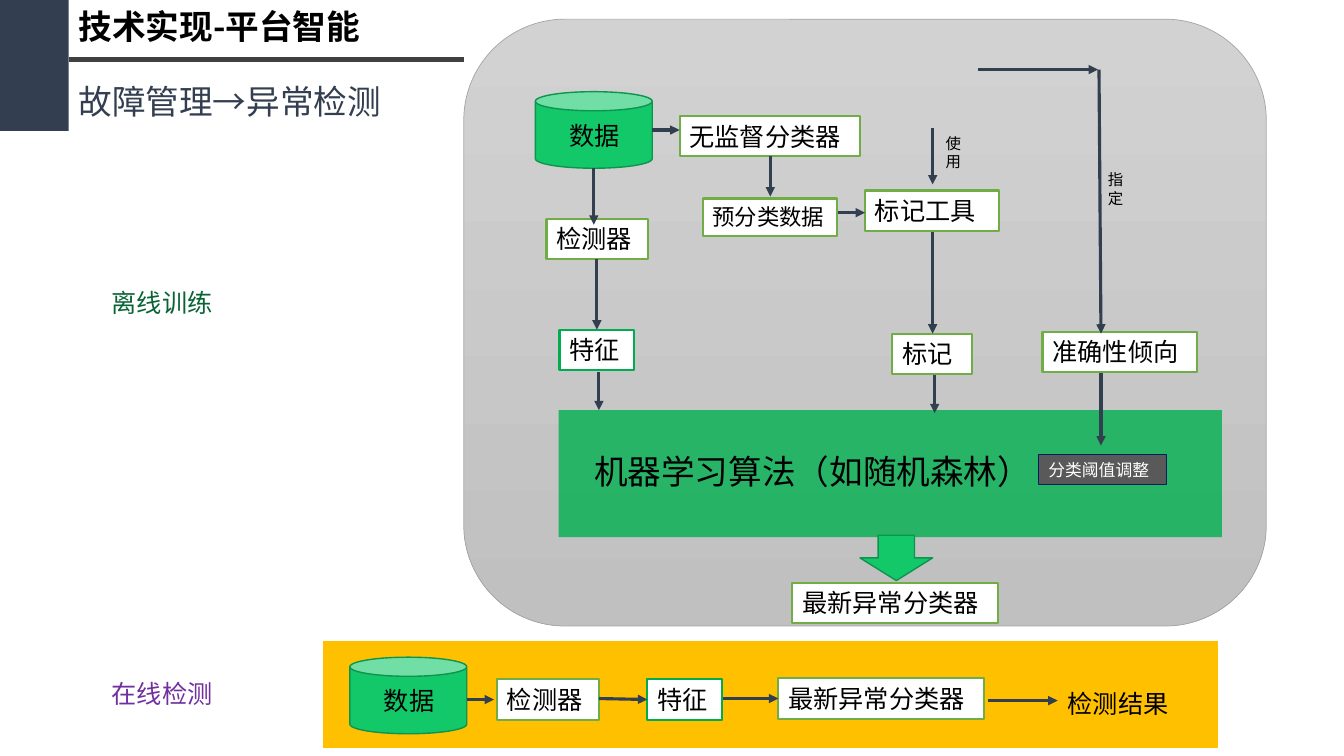
from dataclasses import dataclass

from lxml.etree import SubElement
from pptx import Presentation
from pptx.dml.color import RGBColor
from pptx.enum.shapes import MSO_CONNECTOR as Connector, MSO_SHAPE as Preset
from pptx.enum.text import MSO_ANCHOR as Anchor, MSO_AUTO_SIZE as AutoSize, PP_ALIGN as Align
from pptx.oxml.ns import qn
from pptx.util import Inches, Pt

FONT, TITLE_FONT = "Calibri", "Noto Sans CJK SC"
BLACK, WHITE = "000000", "FFFFFF"
NAVY, ARROW = "333F50", "323F4F"
OLIVE, GREEN = "70AD47", "00AC4E"
BRIGHT, BRIGHT_EDGE = "12C869", "0D944E"


@dataclass
class Block:
    left: float
    top: float
    width: float
    height: float
    fill: str
    edge: str = ""
    edge_width: float = 1
    preset: Preset = Preset.RECTANGLE


@dataclass
class Label:
    text: str
    left: float
    top: float
    width: float
    height: float = 0.4
    size: float = 18
    color: str = BLACK
    align: Align = Align.LEFT


@dataclass
class Box(Label):
    edge: str = OLIVE
    edge_width: float = 1.5
    fill: str = WHITE


@dataclass
class Line:
    x1: float
    y1: float
    x2: float
    y2: float
    color: str = ARROW
    width: float = 2.25
    arrow: bool = True


def rgb(color: str) -> RGBColor:
    return RGBColor.from_string(color)


def place(left: float, top: float, width: float, height: float) -> tuple:
    return Inches(left), Inches(top), Inches(width), Inches(height)


def write(shape, label: Label, font: str = FONT, bold: bool = False) -> None:
    frame = shape.text_frame
    frame.word_wrap = True
    frame.auto_size = AutoSize.SHAPE_TO_FIT_TEXT
    frame.vertical_anchor = Anchor.TOP
    paragraph = frame.paragraphs[0]
    paragraph.alignment = label.align
    run = paragraph.add_run()
    run.text = label.text
    run.font.name, run.font.size, run.font.bold = font, Pt(label.size), bold
    run.font.color.rgb = rgb(label.color)


def draw_block(slide, block: Block):
    shape = slide.shapes.add_shape(
        block.preset, *place(block.left, block.top, block.width, block.height))
    shape.shadow.inherit = False
    shape.fill.solid()
    shape.fill.fore_color.rgb = rgb(block.fill)
    if block.edge:
        shape.line.color.rgb = rgb(block.edge)
        shape.line.width = Pt(block.edge_width)
    else:
        shape.line.fill.background()
    return shape


def draw_label(slide, label: Label) -> None:
    area = place(label.left, label.top, label.width, label.height)
    write(slide.shapes.add_textbox(*area), label)


def draw_box(slide, box: Box) -> None:
    block = Block(box.left, box.top, box.width, box.height, box.fill, box.edge, box.edge_width)
    write(draw_block(slide, block), box)


def draw_line(slide, line: Line) -> None:
    connector = slide.shapes.add_connector(
        Connector.STRAIGHT, *place(line.x1, line.y1, line.x2, line.y2))
    connector.line.color.rgb = rgb(line.color)
    connector.line.width = Pt(line.width)
    if line.arrow:
        SubElement(connector.line._get_or_add_ln(), qn("a:tailEnd"), type="triangle")
    SubElement(connector._element.spPr, qn("a:effectLst"))


def draw_database(slide, left: float, top: float) -> None:
    draw_block(slide, Block(left, top, 1.16, 0.76, BRIGHT, BRIGHT_EDGE, preset=Preset.CAN))
    draw_label(slide, Label("数据", left + 0.24, top + 0.23, 0.79))


BOXES = [
    # Offline training
    Box("检测器", 5.42, 2.17, 1.01),
    Box("特征", 5.55, 3.27, 0.74, edge=GREEN),
    Box("无监督分类器", 6.74, 1.15, 1.79),
    Box("预分类数据", 6.97, 1.97, 1.33, 0.37, 16),
    Box("标记工具", 8.58, 1.89, 1.33),
    Box("标记", 8.85, 3.31, 0.79),
    Box("准确性倾向", 10.34, 3.29, 1.53),
    Box("分类阈值调整", 10.3, 4.51, 1.27, 0.3, 12, WHITE, edge="002060", edge_width=1, fill="595959"),
    Box("最新异常分类器", 7.86, 5.78, 2.04),
    # Online detection
    Box("检测器", 4.93, 6.74, 1.01),
    Box("特征", 6.42, 6.74, 0.74, edge=GREEN),
    Box("最新异常分类器", 7.72, 6.73, 2.04),
]

LABELS = [
    Label("故障管理→异常检测", 0.68, 0.75, 4.31, 0.5, 24, NAVY),
    Label("离线训练", 1.01, 2.8, 1.27, color="096435"),
    Label("在线检测", 1.01, 6.68, 1.26, color="7030A0"),
    Label("机器学习算法（如随机森林）", 5.36, 4.42, 5.4, 0.5, 24, align=Align.CENTER),
    Label("使用", 9.28, 1.28, 0.3, 0.47, 11),
    Label("指定", 10.89, 1.64, 0.3, 0.47, 11),
    Label("检测结果", 10.49, 6.78, 1.39),
]

LINES = [
    # Rule under the title
    Line(0.68, 0.59, 4.6, 0.59, "404040", 3, arrow=False),
    # Offline training
    Line(5.89, 1.67, 5.89, 2.23),
    Line(5.92, 2.57, 5.92, 3.27),
    Line(5.94, 3.69, 5.94, 4.07),
    Line(6.47, 1.29, 6.74, 1.29),
    Line(7.64, 1.55, 7.64, 1.95),
    Line(8.31, 2.11, 8.58, 2.11),
    Line(9.25, 1.27, 9.25, 1.83),
    Line(9.25, 2.3, 9.25, 3.31),
    Line(9.27, 3.72, 9.27, 4.1),
    Line(9.7, 0.69, 10.89, 0.69),
    Line(10.9, 0.69, 10.92, 3.31),
    Line(10.92, 3.7, 10.92, 4.42),
    # Online detection
    Line(4.63, 6.94, 4.9, 6.94),
    Line(5.94, 6.93, 6.42, 6.94),
    Line(7.17, 6.93, 7.72, 6.93),
    Line(9.8, 6.95, 10.49, 6.95),
]


def main() -> None:
    presentation = Presentation()
    presentation.slide_width, presentation.slide_height = Inches(13.33), Inches(7.5)
    slide = presentation.slides.add_slide(presentation.slide_layouts[5])

    # Title
    heading = Label("技术实现-平台智能", 0.68, 0.01, 4.1, 0.5, 24)
    title = slide.shapes.title
    title.left, title.top, title.width, title.height = place(
        heading.left, heading.top, heading.width, heading.height)
    write(title, heading, TITLE_FONT, bold=True)

    # Sidebar and panels
    draw_block(slide, Block(0, 0, 0.68, 1.3, NAVY))
    draw_block(slide, Block(3.19, 6.35, 8.9, 1.08, "FFC000", "FFFFFF", 1.5))
    training = draw_block(
        slide, Block(4.6, 0.19, 7.96, 6.02, "C8C8C8", "A5A5A5", 0.5, Preset.ROUNDED_RECTANGLE))
    training.fill.gradient()
    training.fill.gradient_angle = 270
    for stop, color in zip(training.fill.gradient_stops, ("D2D2D2", "C0C0C0")):
        stop.color.rgb = rgb(color)

    # Algorithm band, 80% opaque
    band = draw_block(slide, Block(5.54, 4.07, 6.58, 1.26, "00B050"))
    band_color = band._element.spPr.find(qn("a:solidFill")).find(qn("a:srgbClr"))
    SubElement(band_color, qn("a:alpha"), val="80000")
    draw_block(slide, Block(8.53, 5.31, 0.72, 0.45, BRIGHT, BRIGHT_EDGE, preset=Preset.DOWN_ARROW))

    # Flow: data stores, steps, arrows and captions
    draw_database(slide, 5.31, 0.91)
    draw_database(slide, 3.47, 6.52)
    for box in BOXES:
        draw_box(slide, box)
    for line in LINES:
        draw_line(slide, line)
    for label in LABELS:
        draw_label(slide, label)

    presentation.save("out.pptx")


if __name__ == "__main__":
    main()
